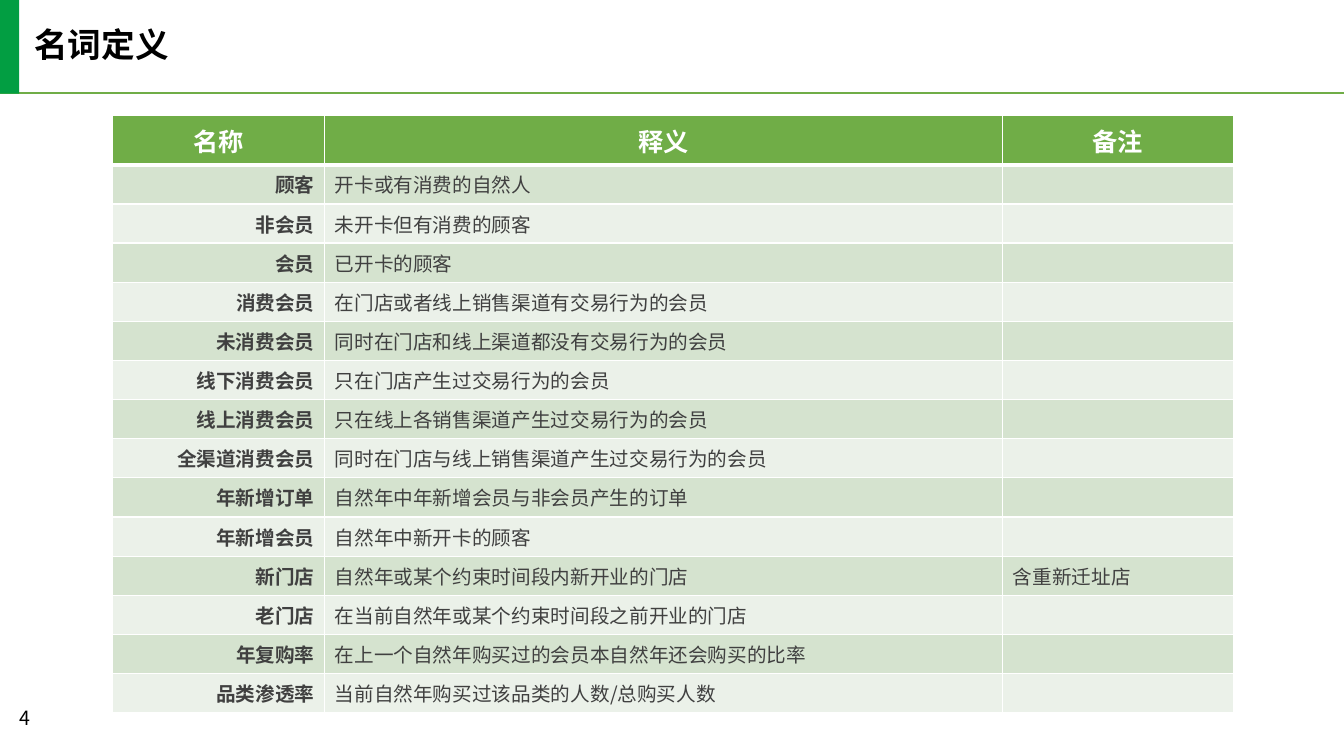
import pptx
import pptx.util
import pptx.dml.color
import pptx.enum.shapes
import pptx.enum.text
import pptx.oxml.ns
import lxml.etree

theme = {
    "font": "Noto Sans CJK SC",
    "black": "000000", "white": "FFFFFF", "text": "404040",
    "bar": "029E42", "green": "70AD47", "bands": ["D5E3CF", "EBF1E9"],
    "title": 24, "header": 18, "body": 14,
}
color = pptx.dml.color.RGBColor.from_string
qualified = pptx.oxml.ns.qn
align = pptx.enum.text.PP_ALIGN

presentation = pptx.Presentation()
presentation.slide_width = pptx.util.Inches(13.33)
presentation.slide_height = pptx.util.Inches(7.5)
slide = presentation.slides.add_slide(presentation.slide_layouts[6])


def place(left, top, width, height):
    """Turn percentages of the slide's width and height into lengths."""
    across, down = presentation.slide_width / 100, presentation.slide_height / 100
    return [round(left * across), round(top * down),
            round(width * across), round(height * down)]


def add_run(paragraph, text, size, ink, bold=False):
    run = paragraph.add_run()
    run.text = text
    run.font.name = theme["font"]
    run.font.size = pptx.util.Pt(size)
    run.font.bold = bold
    run.font.color.rgb = color(ink)
    east_asian = lxml.etree.SubElement(run.font._element, qualified("a:ea"))
    east_asian.set("typeface", theme["font"])


# Rule under the title, and green bar at the left
left, top, width, _ = place(0, 12.27, 100, 0)
rule = slide.shapes.add_connector(
    pptx.enum.shapes.MSO_CONNECTOR.STRAIGHT, left, top, left + width, top)
rule.line.color.rgb = color(theme["green"])
rule.line.width = pptx.util.Pt(1.5)
lxml.etree.SubElement(rule._element.spPr, qualified("a:effectLst"))

bar = slide.shapes.add_shape(
    pptx.enum.shapes.MSO_SHAPE.RECTANGLE, *place(0, 0, 1.43, 12.4))
bar.shadow.inherit = False
bar.fill.solid()
bar.fill.fore_color.rgb = color(theme["bar"])
bar.line.fill.background()

# Title
title = slide.shapes.add_textbox(*place(2.55, 3.73, 47.2, 4.8)).text_frame
title.word_wrap = True
title.margin_left = title.margin_top = title.margin_right = title.margin_bottom = 0
title.paragraphs[0].line_spacing = 0.9
add_run(title.paragraphs[0], "名词定义", theme["title"], theme["black"], bold=True)

# Page number
page_number = slide.shapes.add_textbox(*place(0.68, 92.67, 6.8, 5.33)).text_frame
page_number.word_wrap = True
add_run(page_number.paragraphs[0], "4", theme["body"], theme["black"])

# Definitions: name, meaning, remark
rows = [
    ("名称", "释义", "备注"),
    ("顾客", "开卡或有消费的自然人", ""),
    ("非会员", "未开卡但有消费的顾客", ""),
    ("会员", "已开卡的顾客", ""),
    ("消费会员", "在门店或者线上销售渠道有交易行为的会员", ""),
    ("未消费会员", "同时在门店和线上渠道都没有交易行为的会员", ""),
    ("线下消费会员", "只在门店产生过交易行为的会员", ""),
    ("线上消费会员", "只在线上各销售渠道产生过交易行为的会员", ""),
    ("全渠道消费会员", "同时在门店与线上销售渠道产生过交易行为的会员", ""),
    ("年新增订单", "自然年中年新增会员与非会员产生的订单", ""),
    ("年新增会员", "自然年中新开卡的顾客", ""),
    ("新门店", "自然年或某个约束时间段内新开业的门店", "含重新迁址店"),
    ("老门店", "在当前自然年或某个约束时间段之前开业的门店", ""),
    ("年复购率", "在上一个自然年购买过的会员本自然年还会购买的比率", ""),
    ("品类渗透率", "当前自然年购买过该品类的人数/总购买人数", ""),
]
column_shares = [15.8, 50.45, 17.15]
header_share, row_share = 6.5, 5.18
table_height = header_share + row_share * (len(rows) - 1)
table = slide.shapes.add_table(
    len(rows), len(column_shares),
    *place(8.36, 15.3, sum(column_shares), table_height)).table
for column, share in zip(table.columns, column_shares):
    column.width = place(0, 0, share, 0)[2]

for row_index, texts in enumerate(rows):
    is_header = row_index == 0
    table.rows[row_index].height = place(
        0, 0, 0, header_share if is_header else row_share)[3]
    for column_index, text in enumerate(texts):
        cell = table.cell(row_index, column_index)
        is_name = column_index == 0

        # White borders, thicker between header and body
        properties = cell._tc.get_or_add_tcPr()
        for side in ("lnL", "lnR", "lnT", "lnB"):
            thick = (row_index, side) in [(0, "lnB"), (1, "lnT")]
            border = lxml.etree.SubElement(properties, qualified("a:" + side))
            border.set("w", str(pptx.util.Pt(3 if thick else 1)))
            solid = lxml.etree.SubElement(border, qualified("a:solidFill"))
            lxml.etree.SubElement(
                solid, qualified("a:srgbClr")).set("val", theme["white"])

        cell.fill.solid()
        cell.fill.fore_color.rgb = color(
            theme["green"] if is_header else theme["bands"][(row_index - 1) % 2])
        cell.vertical_anchor = pptx.enum.text.MSO_ANCHOR.MIDDLE
        cell.margin_top = cell.margin_bottom = 0
        if is_header:
            cell.margin_left = cell.margin_right = 0

        paragraph = cell.text_frame.paragraphs[0]
        paragraph.alignment = (
            align.CENTER if is_header else align.RIGHT if is_name else align.LEFT)
        if text:
            add_run(paragraph, text,
                    theme["header"] if is_header else theme["body"],
                    theme["white"] if is_header else theme["text"],
                    bold=is_header or is_name)

presentation.save("out.pptx")
